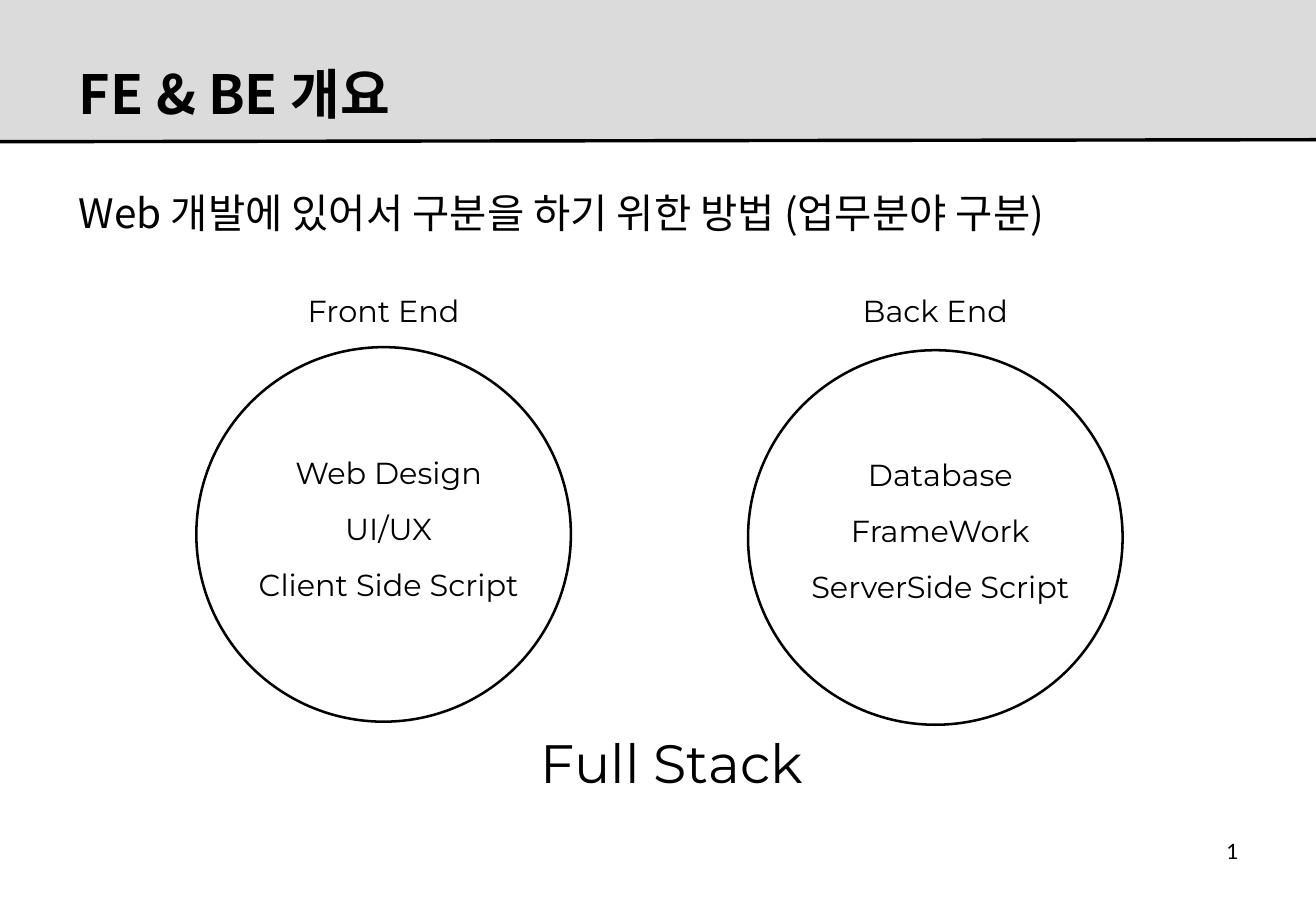
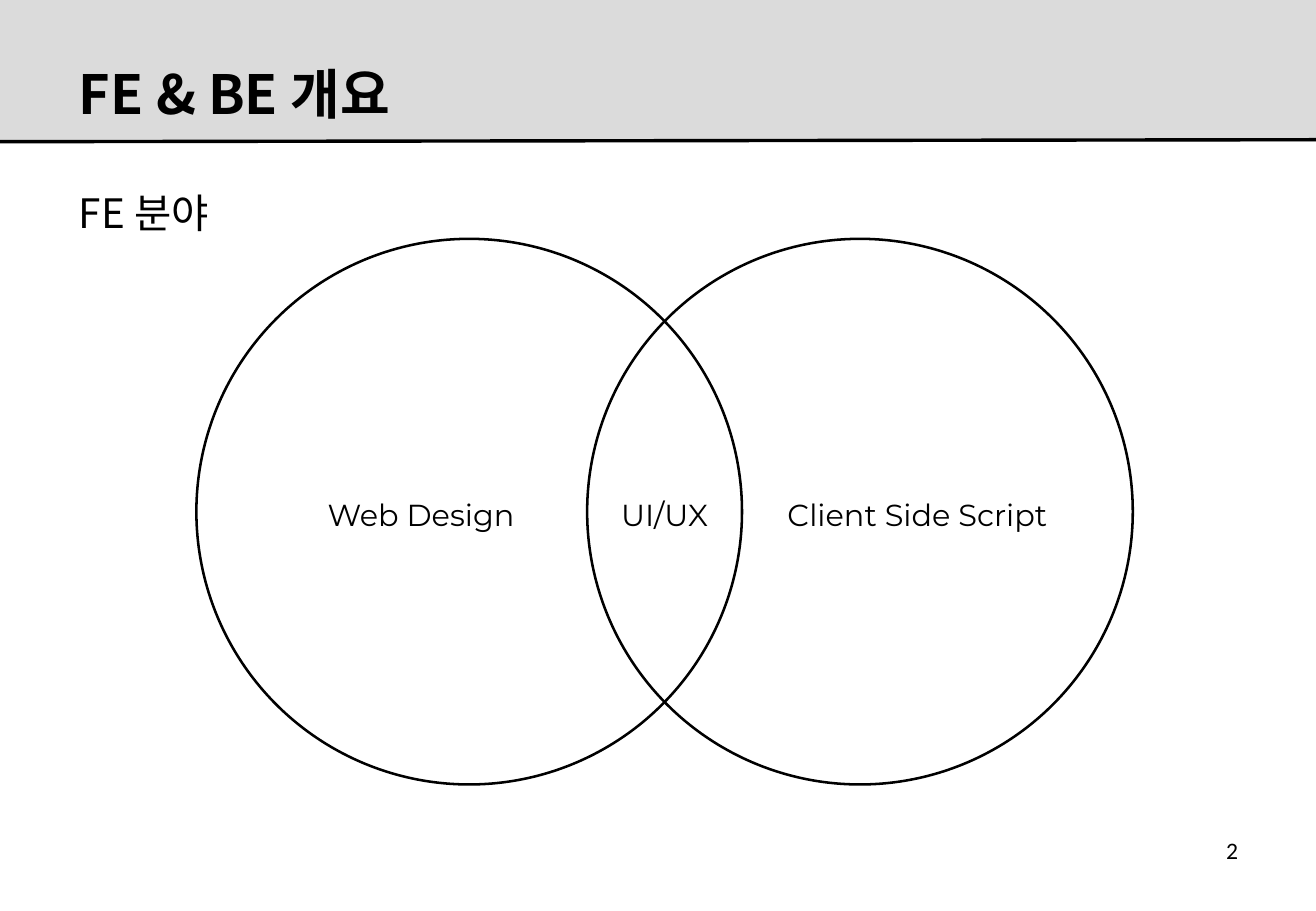
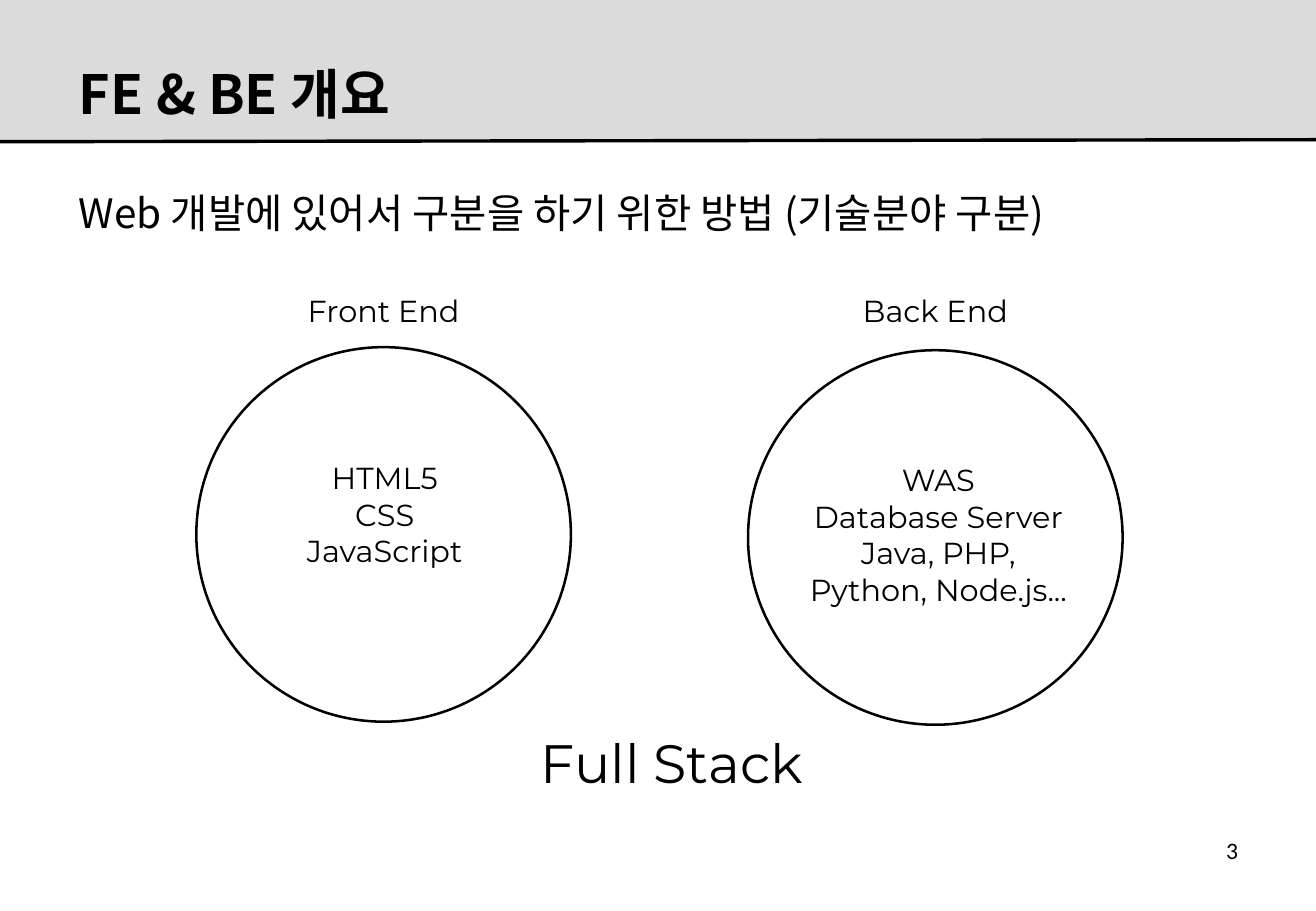
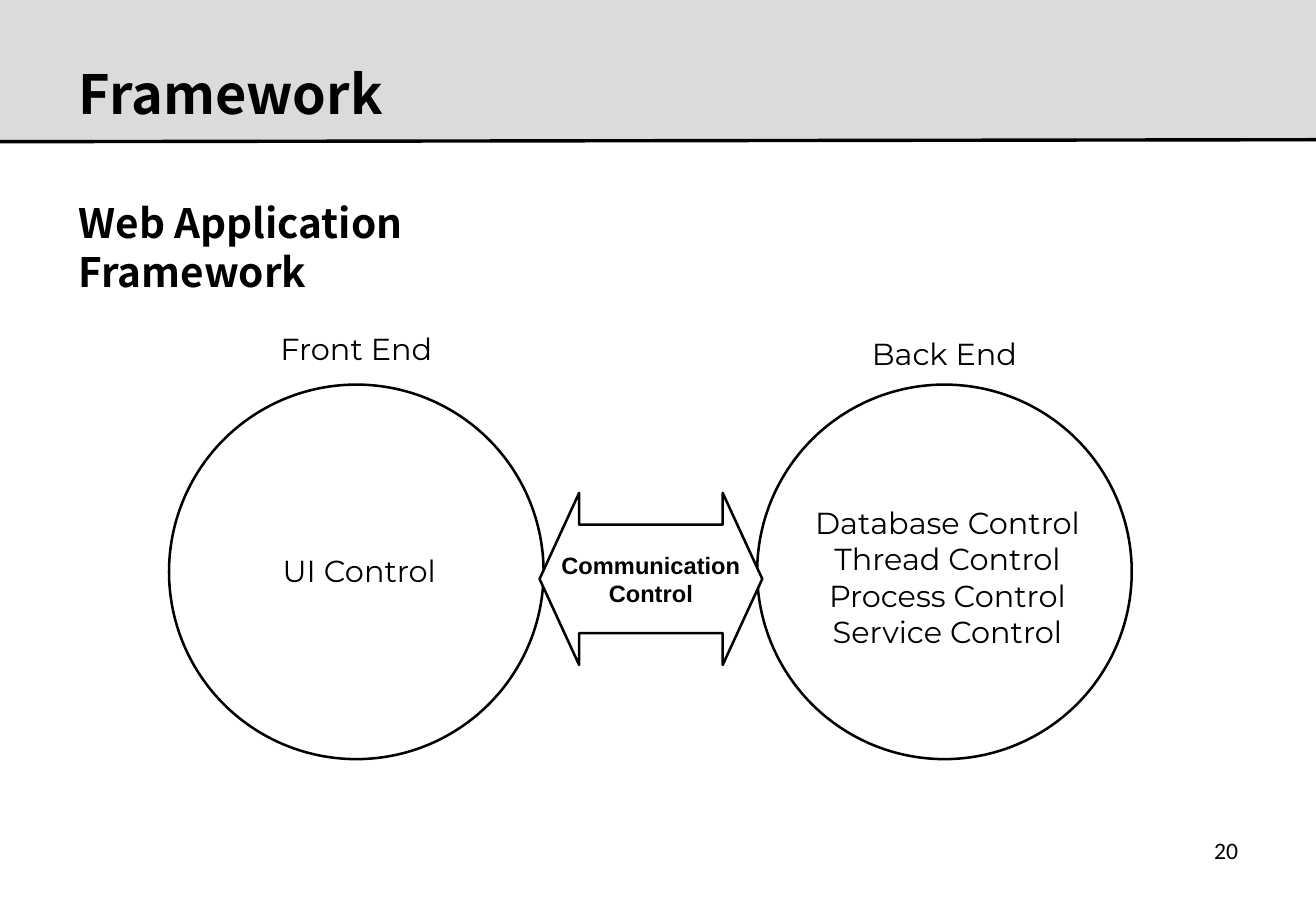
from lxml.etree import SubElement
from pptx import Presentation
from pptx.dml.color import RGBColor
from pptx.enum.shapes import MSO_CONNECTOR, MSO_SHAPE
from pptx.enum.text import MSO_ANCHOR, MSO_AUTO_SIZE, PP_ALIGN
from pptx.oxml.ns import qn
from pptx.util import Inches, Pt

COLS, ROWS = 130, 90
CELL = Inches(1) / 12
BLACK, WHITE, GREY = "000000", "FFFFFF", "DBDBDB"
TITLE = {"name": "Noto Sans CJK KR", "size": Pt(32), "bold": True}
HEAD = {"name": "Noto Sans CJK KR", "size": Pt(24), "bold": False}
BODY = {"name": "Montserrat", "size": Pt(18)}
STACK = {"name": "Montserrat", "size": Pt(32)}
ARROW = {"name": "Arial", "size": Pt(14), "bold": True}
PAGE = {"name": "Calibri", "size": Pt(14)}
LEFT, MID, RIGHT = PP_ALIGN.LEFT, PP_ALIGN.CENTER, PP_ALIGN.RIGHT


def grid(*cells):
    """Turn grid cells into lengths."""
    return [round(cell * CELL) for cell in cells]


def paint(form, shade):
    """Give a fill or font colour a solid hex shade."""
    if hasattr(form, "solid"):
        form.solid()
        form = form.fore_color
    form.rgb = RGBColor.from_string(shade)


def write(frame, text, style, align=MID, **props):
    """Fill a text frame with one paragraph per line of text."""
    frame.text = text
    for key, value in {"word_wrap": True, **props}.items():
        setattr(frame, key, value)
    for para in frame.paragraphs:
        para.alignment = align
        for run in para.runs:
            for key, value in style.items():
                setattr(run.font, key, value)
            paint(run.font.color, BLACK)
            east = SubElement(run.font._element, qn("a:ea"))
            east.set("typeface", style["name"])


def label(slide, box, text, style=BODY, align=MID):
    """Add a text box on the grid."""
    write(slide.shapes.add_textbox(*grid(*box)).text_frame, text, style, align)


def draw(slide, kind, box, fill=None, edge=None):
    """Add a preset shape with an optional fill and outline."""
    shape = slide.shapes.add_shape(kind, *grid(*box))
    shape.shadow.inherit = False
    for form, shade in ((shape.fill, fill), (shape.line.fill, edge)):
        if shade:
            paint(form, shade)
        else:
            form.background()
    if edge:
        shape.line.width = Pt(1.5)
    return shape


def band(slide, layout):
    """Build the title band and its rule, and move them to the layout."""
    block = draw(slide, MSO_SHAPE.RECTANGLE, (0, 0, COLS, 14), GREY)
    rule = slide.shapes.add_connector(
        MSO_CONNECTOR.STRAIGHT, *grid(0, 14, COLS, 13.8))
    paint(rule.line.fill, BLACK)
    rule.line.width = Pt(2)
    SubElement(rule._element.spPr, qn("a:effectLst"))
    for spot, part in enumerate((block, rule), 2):
        layout.shapes._spTree.insert(spot, part._element)


def start(deck, title, head, page, box=(6.6, 18, 117, 6), style=HEAD):
    """Add a slide with its title, heading and page number."""
    layout = deck.slide_layouts[5]
    slide = deck.slides.add_slide(layout)
    if len(deck.slides) == 1:
        band(slide, layout)
    name = slide.shapes.title
    name.left, name.top, name.width, name.height = grid(6.6, 5, 116.6, 8.4)
    write(name.text_frame, title, TITLE, LEFT,
          vertical_anchor=MSO_ANCHOR.MIDDLE, auto_size=MSO_AUTO_SIZE.NONE)
    label(slide, box, head, style, LEFT)
    label(slide, (93, 82, 30.5, 6), page, PAGE, RIGHT)
    return slide


def lobe(slide, box, head, items, top, rise=6, shift=0.3):
    """Draw a circle with a heading above and items from a given row."""
    x, y, size = box
    label(slide, (x, y - rise, size, 4.8), head)
    draw(slide, MSO_SHAPE.OVAL, (x, y, size, size), WHITE, BLACK)
    for step, item in enumerate(items):
        label(slide, (x + shift, y + top + 5.5 * step, size, 4.8), item)


def pair(deck, head, page, front, back, top, shift):
    """Build a slide that sets front end beside back end."""
    slide = start(deck, "FE & BE 개요", head, page)
    lobe(slide, (19.4, 34.3, 37), "Front End", front, top, 6, shift[0])
    lobe(slide, (73.9, 34.6, 37), "Back End", back, top - 0.1, 6.3, shift[1])
    label(slide, (50, 71.5, 32.8, 7.7), "Full Stack", STACK)


def venn(slide, box, names):
    """Draw two circles that overlap in a box, with three names."""
    x, y, wide, high = box
    for left in (x, x + wide - high):
        draw(slide, MSO_SHAPE.OVAL, (left, y, high, high), None, BLACK)
    for name, share in zip(names, (0.24, 0.5, 0.77)):
        label(slide, (x + wide * share - 17, y + high * 0.46, 34, 4.8), name)


def link(slide, box, text):
    """Draw a two-way arrow with text."""
    arrow = draw(slide, MSO_SHAPE.LEFT_RIGHT_ARROW, box, WHITE, BLACK)
    for spot, value in enumerate((0.63, 0.23)):
        arrow.adjustments[spot] = value
    write(arrow.text_frame, text, ARROW, word_wrap=False,
          vertical_anchor=MSO_ANCHOR.MIDDLE)


def main():
    """Build and save the deck."""
    deck = Presentation()
    deck.slide_width, deck.slide_height = grid(COLS, ROWS)
    topic = "Web 개발에 있어서 구분을 하기 위한 방법 ({} 구분)"
    pair(deck, topic.format("업무분야"), "1",
         ["Web Design", "UI/UX", "Client Side Script"],
         ["Database", "FrameWork", "ServerSide Script"], 10, (0.5, 0.5))
    slide = start(deck, "FE & BE 개요", "FE 분야", "2")
    venn(slide, (19.4, 23.6, 92.5, 53.9),
         ["Web Design", "UI/UX", "Client Side Script"])
    pair(deck, topic.format("기술분야"), "3", ["HTML5\nCSS\nJavaScript"],
         ["WAS\nDatabase Server\nJava, PHP,\nPython, Node.js..."],
         10.5, (0.1, 0.3))
    slide = start(deck, "Framework", "Web Application Framework", "20",
                  (6.6, 19, 48, 10), {**HEAD, "bold": True})
    lobe(slide, (16.7, 38, 37), "Front End", ["UI Control"], 16)
    lobe(slide, (74.8, 38, 37), "Back End",
         ["Database Control\nThread Control\nProcess Control\nService Control"],
         11.2, 5.5)
    link(slide, (53.3, 48.7, 22, 17), "Communication\nControl")
    deck.save("out.pptx")


if __name__ == "__main__":
    main()
